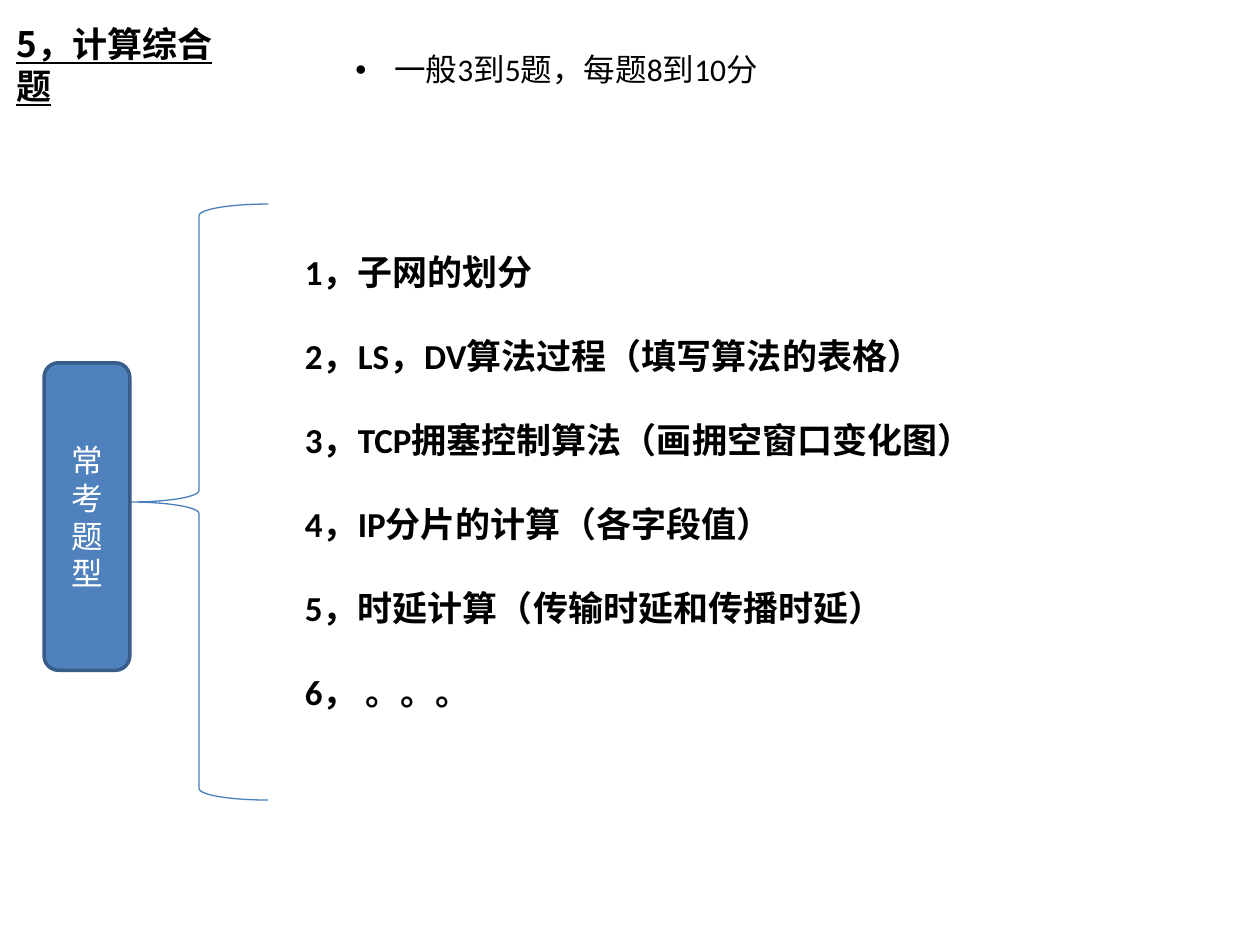
import pptx
import pptx.util
import pptx.dml.color
import pptx.enum.shapes
import pptx.enum.text
import pptx.oxml.ns
import lxml.etree

Inches = pptx.util.Inches
Pt = pptx.util.Pt
Align = pptx.enum.text.PP_ALIGN
Anchor = pptx.enum.text.MSO_ANCHOR
Preset = pptx.enum.shapes.MSO_SHAPE


def rgb(code):
    return pptx.dml.color.RGBColor.from_string(code)


class SlideBuilder:
    latin = "Calibri"
    east_asian = "Noto Sans CJK SC"
    ink = "000000"

    def __init__(self, slide):
        self.slide = slide

    def add_run(self, paragraph, text, size, color, bold=False,
                underline=False, latin=None):
        run = paragraph.add_run()
        run.text = text
        font = run.font
        font.name = latin or self.latin
        font.size = Pt(size)
        font.bold = bold
        font.underline = underline
        font.color.rgb = rgb(color)
        properties = run._r.get_or_add_rPr()
        lxml.etree.SubElement(
            properties, pptx.oxml.ns.qn("a:ea"), typeface=self.east_asian
        )

    def set_bullet(self, paragraph, bullet, indent):
        properties = paragraph._p.get_or_add_pPr()
        properties.set("marL", str(Inches(indent)))
        properties.set("indent", str(-Inches(indent)))
        if bullet:
            lxml.etree.SubElement(
                properties, pptx.oxml.ns.qn("a:buChar"), char=bullet
            )
        else:
            lxml.etree.SubElement(properties, pptx.oxml.ns.qn("a:buNone"))

    def fill_placeholder(self, index, box, lines, size, bold=False,
                         underline=False, latin=None, bullet=None,
                         indent=0, gap=0):
        holder = self.slide.placeholders[index]
        holder.left, holder.top, holder.width, holder.height = map(Inches, box)
        frame = holder.text_frame
        frame.auto_size = pptx.enum.text.MSO_AUTO_SIZE.NONE
        frame.word_wrap = True
        frame.vertical_anchor = Anchor.TOP
        for number, line in enumerate(lines):
            paragraph = frame.add_paragraph() if number else frame.paragraphs[0]
            paragraph.alignment = Align.LEFT
            paragraph.space_before = Pt(0)
            paragraph.space_after = Pt(gap)
            self.set_bullet(paragraph, bullet, indent)
            self.add_run(paragraph, line, size, self.ink, bold, underline, latin)

    def add_preset(self, preset, box, line, width, fill=None):
        shape = self.slide.shapes.add_shape(preset, *map(Inches, box))
        shape.shadow.inherit = False
        shape.line.color.rgb = rgb(line)
        shape.line.width = Pt(width)
        if fill:
            shape.fill.solid()
            shape.fill.fore_color.rgb = rgb(fill)
        else:
            shape.fill.background()
        return shape

    def add_label(self, box, text, size, color, fill, line):
        label = self.add_preset(Preset.ROUNDED_RECTANGLE, box, line, 2, fill)
        frame = label.text_frame
        frame.word_wrap = True
        frame.vertical_anchor = Anchor.MIDDLE
        paragraph = frame.paragraphs[0]
        paragraph.alignment = Align.CENTER
        self.add_run(paragraph, text, size, color)


def main():
    deck = pptx.Presentation()
    deck.slide_width = Inches(10)
    deck.slide_height = Inches(7.5)
    builder = SlideBuilder(deck.slides.add_slide(deck.slide_layouts[3]))

    question_types = [
        "1，子网的划分",
        "2，LS，DV算法过程（填写算法的表格）",
        "3，TCP拥塞控制算法（画拥空窗口变化图）",
        "4，IP分片的计算（各字段值）",
        "5，时延计算（传输时延和传播时延）",
        "6， 。。。",
    ]
    builder.fill_placeholder(0, (0.03, 0.13, 2, 0.44), ["5，计算综合题"],
                             20, bold=True, underline=True,
                             latin=builder.east_asian)
    builder.add_preset(Preset.LEFT_BRACE, (1.03, 1.62, 1.1, 4.73), "4A7EBB", 0.75)
    builder.add_label((0.35, 2.88, 0.68, 2.44), "常考题型", 18,
                      "FFFFFF", "4F81BD", "385D8A")
    builder.fill_placeholder(1, (2.72, 0.35, 5.67, 0.4),
                             ["一般3到5题，每题8到10分"], 18,
                             bullet="•", indent=0.31)
    builder.fill_placeholder(2, (2.32, 1.94, 5.52, 4.44), question_types,
                             20, bold=True, gap=24)
    deck.save("out.pptx")


if __name__ == "__main__":
    main()
